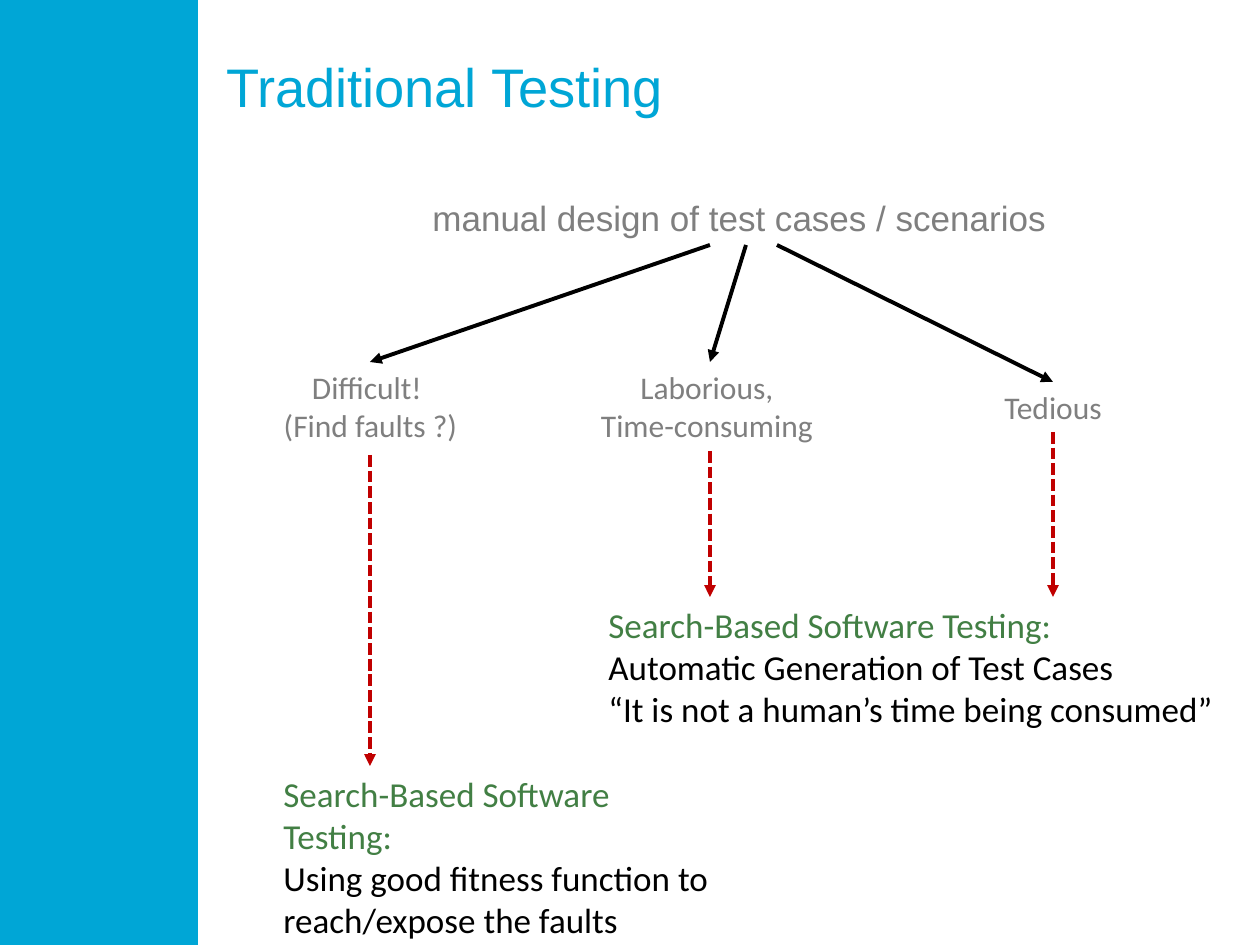
from dataclasses import dataclass

from lxml.etree import SubElement
from pptx import Presentation
from pptx.dml.color import RGBColor
from pptx.enum.dml import MSO_LINE
from pptx.enum.shapes import MSO_CONNECTOR, MSO_SHAPE
from pptx.enum.text import MSO_ANCHOR, MSO_AUTO_SIZE, PP_ALIGN
from pptx.oxml.ns import qn
from pptx.util import Emu, Pt

PX = 914400 / 126


def px(*values):
    return [Emu(round(v * PX)) for v in values]


@dataclass(frozen=True)
class Theme:
    """Colours, fonts and type sizes of the slide."""

    brand: str = "00A6D6"
    grey: str = "7F7F7F"
    green: str = "427F44"
    black: str = "000000"
    red: str = "C00000"
    heading: str = "Arial"
    body: str = "Calibri"
    title: int = 31
    large: int = 20
    small: int = 18
    line: float = 2.25


class Deck:
    """Draws styled elements on the current slide."""

    def __init__(self, theme):
        self.theme = theme
        self.prs = Presentation()
        self.prs.slide_width, self.prs.slide_height = px(1260, 945)
        self.s = self.prs.slides.add_slide(self.prs.slide_layouts[5])

    def add_lines(self, tf, lines, size, name, align=PP_ALIGN.LEFT):
        for i, (text, color) in enumerate(lines):
            p = tf.paragraphs[0] if i == 0 else tf.add_paragraph()
            p.alignment = align
            r = p.add_run()
            r.text = text
            for key, value in {"size": Pt(size), "name": name}.items():
                setattr(r.font, key, value)
            r.font.color.rgb = RGBColor.from_string(color)

    def bar(self, x, y, w, h):
        sp = self.s.shapes.add_shape(MSO_SHAPE.RECTANGLE, *px(x, y, w, h))
        sp.shadow.inherit = False
        sp.fill.solid()
        sp.fill.fore_color.rgb = RGBColor.from_string(self.theme.brand)
        sp.line.fill.background()

    def title(self, text, x, y, w, h):
        sp = self.s.shapes.title
        for key, value in zip(("left", "top", "width", "height"), px(x, y, w, h)):
            setattr(sp, key, value)
        tf = sp.text_frame
        layout = {
            "margin_left": 0,
            "margin_right": 0,
            "margin_top": px(6)[0],
            "margin_bottom": 0,
            "vertical_anchor": MSO_ANCHOR.TOP,
            "auto_size": MSO_AUTO_SIZE.NONE,
        }
        for key, value in layout.items():
            setattr(tf, key, value)
        t = self.theme
        self.add_lines(tf, [(text, t.brand)], t.title, t.heading)

    def text(self, lines, box, size, name, align=PP_ALIGN.LEFT, wrap=True):
        tf = self.s.shapes.add_textbox(*px(*box)).text_frame
        tf.word_wrap = wrap
        self.add_lines(tf, lines, size, name, align)

    def arrow(self, start, end, color, dash=None):
        c = self.s.shapes.add_connector(MSO_CONNECTOR.STRAIGHT, *px(*start, *end))
        c.line.color.rgb = RGBColor.from_string(color)
        c.line.width = Pt(self.theme.line)
        if dash:
            c.line.dash_style = dash
        props = c.element.spPr
        SubElement(props.find(qn("a:ln")), qn("a:tailEnd"), type="triangle")
        SubElement(props, qn("a:effectLst"))


def main():
    t = Theme()
    deck = Deck(t)
    deck.bar(0, 0, 198, 945)
    deck.title("Traditional Testing", 226, 47, 970, 146)
    deck.text([("manual design of test cases / scenarios", t.grey)],
              (420, 190, 653, 55), t.large, t.heading, wrap=False)

    problems = [
        (["Difficult! ", "(Find faults ?) "], (271, 362, 199, 89), True),
        (["Laborious, ", "Time-consuming "], (585, 362, 251, 165), True),
        (["Tedious"], (992, 382, 123, 50), False),
    ]
    for lines, box, wrap in problems:
        align = PP_ALIGN.CENTER if wrap else PP_ALIGN.LEFT
        deck.text([(line, t.grey) for line in lines], box, t.small, t.body, align, wrap)

    answers = [
        (["Using good fitness function to", "reach/expose the faults"],
         (271, 766, 460, 140)),
        (["Automatic Generation of Test Cases",
          "“It is not a human’s time being consumed”"],
         (596, 597, 639, 140)),
    ]
    for lines, box in answers:
        head = [("Search-Based Software Testing:", t.green)]
        deck.text(head + [(line, t.black) for line in lines], box, t.large, t.body)

    branches = [
        (710, 370, 362, 455, 766),
        (746, 710, 362, 451, 597),
        (777, 1053, 382, 432, 597),
    ]
    for origin, x, problem_top, problem_bottom, answer_top in branches:
        deck.arrow((origin, 245), (x, problem_top), t.black)
        deck.arrow((x, problem_bottom), (x, answer_top), t.red, MSO_LINE.SQUARE_DOT)

    deck.prs.save("out.pptx")


if __name__ == "__main__":
    main()
